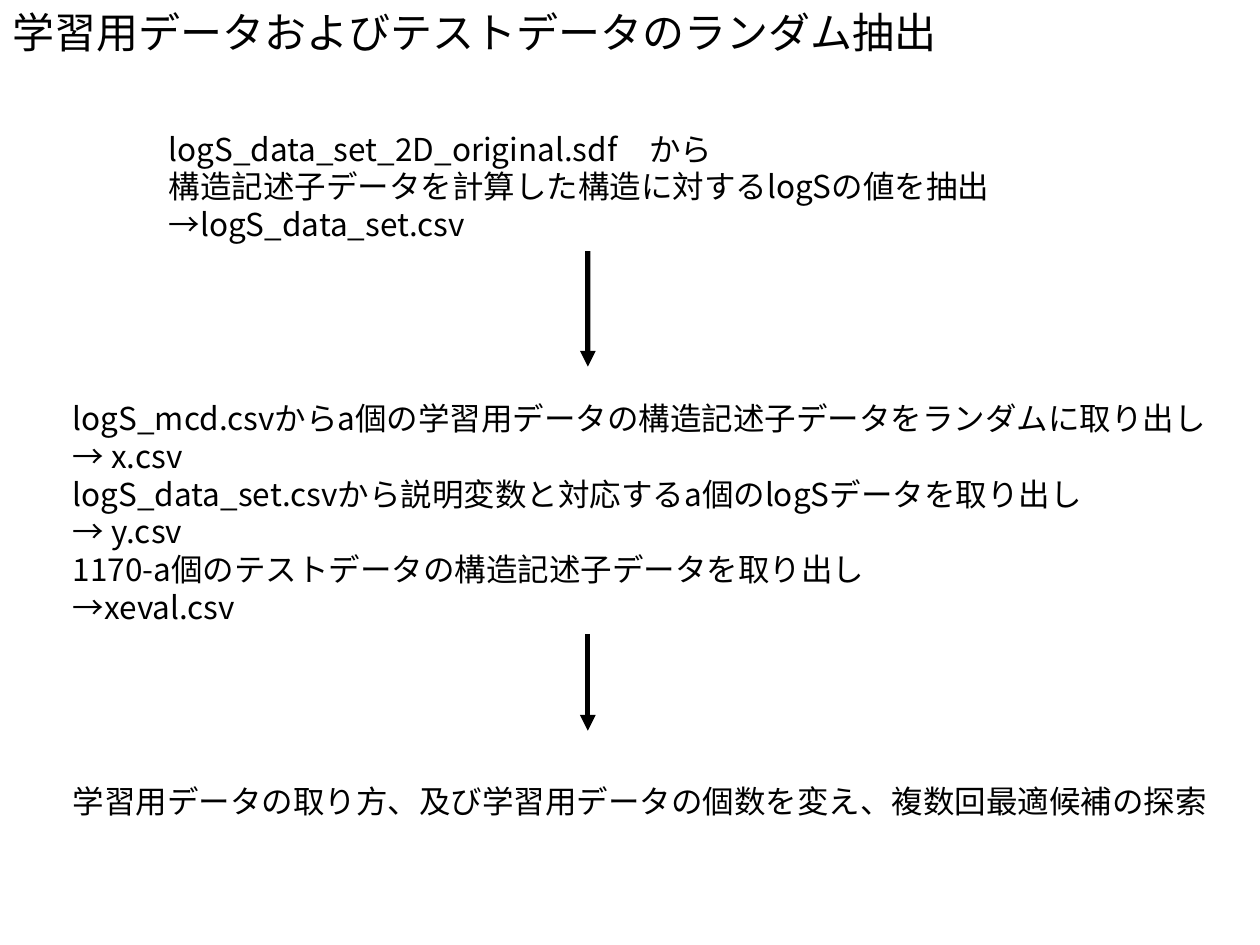
from dataclasses import dataclass

from pptx import Presentation
from pptx.dml.color import RGBColor
from pptx.enum.shapes import MSO_CONNECTOR
from pptx.enum.text import MSO_ANCHOR, MSO_AUTO_SIZE, PP_ALIGN
from pptx.oxml.ns import qn
from pptx.util import Cm, Pt
from lxml.etree import SubElement


@dataclass(frozen=True)
class Theme:
    font: str = "Noto Sans CJK JP"
    ink: RGBColor = RGBColor(0, 0, 0)
    paper: RGBColor = RGBColor(255, 255, 255)
    title_size: int = 24
    body_size: int = 18
    line_ratio: float = 1.2
    arrow_width: int = 3


def set_values(target, values):
    for name, value in values.items():
        setattr(target, name, value)


class FlowSlide:
    def __init__(self, slide, theme):
        self.slide = slide
        self.theme = theme
        slide.background.fill.solid()
        slide.background.fill.fore_color.rgb = theme.paper

    def fill_text(self, frame, lines, size):
        set_values(frame, {
            "word_wrap": False,
            "auto_size": MSO_AUTO_SIZE.SHAPE_TO_FIT_TEXT,
            "vertical_anchor": MSO_ANCHOR.TOP,
        })
        frame.text = "\n".join(lines)
        for paragraph in frame.paragraphs:
            set_values(paragraph, {
                "alignment": PP_ALIGN.LEFT,
                "line_spacing": Pt(size * self.theme.line_ratio),
                "space_before": Pt(0),
            })
            for run in paragraph.runs:
                set_values(run.font, {"name": self.theme.font, "size": Pt(size)})
                run.font.color.rgb = self.theme.ink
                SubElement(run.font._element, qn("a:ea"), typeface=self.theme.font)

    def title(self, text, left, top, width, height):
        heading = self.slide.shapes.title
        set_values(heading, {
            "left": Cm(left), "top": Cm(top),
            "width": Cm(width), "height": Cm(height),
        })
        self.fill_text(heading.text_frame, [text], self.theme.title_size)

    def step(self, lines, left, top, width, height):
        box = self.slide.shapes.add_textbox(Cm(left), Cm(top), Cm(width), Cm(height))
        self.fill_text(box.text_frame, lines, self.theme.body_size)
        return box

    def arrow(self, x, top, bottom, source=None):
        connector = self.slide.shapes.add_connector(
            MSO_CONNECTOR.STRAIGHT, Cm(x), Cm(top), Cm(x), Cm(bottom))
        if source is not None:
            connector.begin_connect(source, 2)
        connector.line.color.rgb = self.theme.ink
        connector.line.width = Pt(self.theme.arrow_width)
        properties = connector._element.spPr
        SubElement(properties.find(qn("a:ln")), qn("a:tailEnd"), type="triangle")
        SubElement(properties, qn("a:effectLst"))


def main():
    presentation = Presentation()
    presentation.slide_width = Cm(25.4)
    presentation.slide_height = Cm(19.05)
    flow = FlowSlide(
        presentation.slides.add_slide(presentation.slide_layouts[5]), Theme())

    flow.title("学習用データおよびテストデータのランダム抽出", 0, 0, 19.33, 1.27)
    extraction = flow.step([
        "logS_data_set_2D_original.sdf　から",
        "構造記述子データを計算した構造に対するlogSの値を抽出",
        "→logS_data_set.csv",
    ], 3.15, 2.49, 17.4, 2.57)

    arrow_x = 3.15 + 17.4 / 2
    flow.arrow(arrow_x, 5.06, 7.39, extraction)

    margin = 1.22
    flow.step([
        "logS_mcd.csvからa個の学習用データの構造記述子データをランダムに取り出し",
        "→ x.csv",
        "logS_data_set.csvから説明変数と対応するa個のlogSデータを取り出し",
        "→ y.csv",
        "1170-a個のテストデータの構造記述子データを取り出し",
        "→xeval.csv",
    ], margin, 7.92, 24.18, 4.88)
    flow.arrow(arrow_x, 12.78, 14.73)
    flow.step(
        ["学習用データの取り方、及び学習用データの個数を変え、複数回最適候補の探索"],
        margin, 15.65, 24.23, 1.02)

    presentation.save("out.pptx")


if __name__ == "__main__":
    main()
